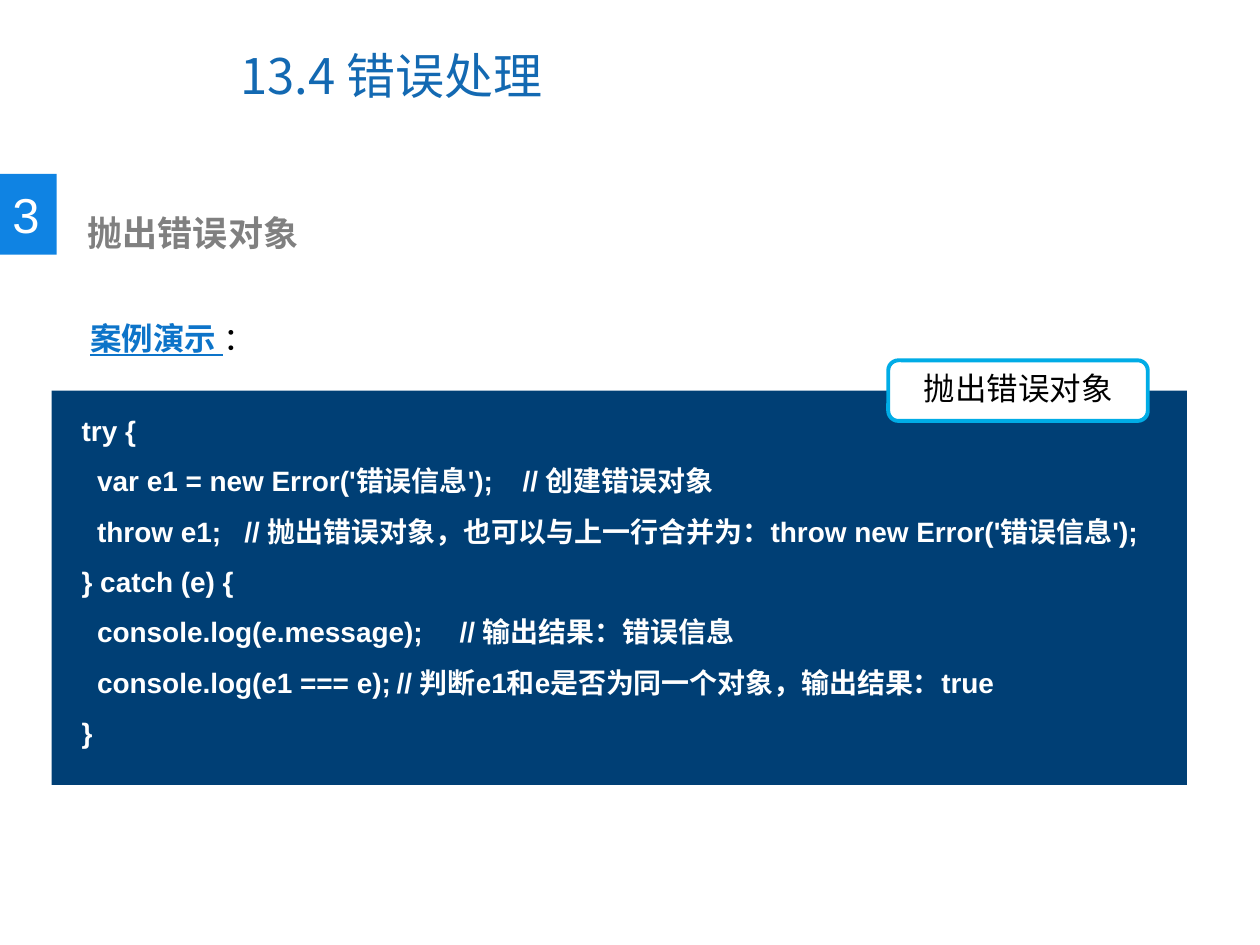
from dataclasses import dataclass

from lxml import etree
from pptx import Presentation
from pptx.dml.color import RGBColor
from pptx.enum.shapes import MSO_SHAPE
from pptx.enum.text import MSO_ANCHOR, MSO_AUTO_SIZE, PP_ALIGN
from pptx.oxml.ns import qn
from pptx.util import Pt

RECTANGLE = MSO_SHAPE.RECTANGLE
ROUNDED = MSO_SHAPE.ROUNDED_RECTANGLE
LEFT, CENTER = PP_ALIGN.LEFT, PP_ALIGN.CENTER
TOP, MIDDLE = MSO_ANCHOR.TOP, MSO_ANCHOR.MIDDLE
NO_AUTOFIT = MSO_AUTO_SIZE.NONE
LATIN = "Arial"
CHINESE = "Noto Sans CJK SC"
WHITE = "FFFFFF"
BLACK = "000000"

CODE = """try {
  var e1 = new Error('错误信息');\t// 创建错误对象
  throw e1;   // 抛出错误对象，也可以与上一行合并为：throw new Error('错误信息');
} catch (e) {
  console.log(e.message);\t// 输出结果：错误信息
  console.log(e1 === e);\t// 判断e1和e是否为同一个对象，输出结果：true
}"""


@dataclass
class Box:
    left: float
    top: float
    width: float
    height: float

    def lengths(self):
        return Pt(self.left), Pt(self.top), Pt(self.width), Pt(self.height)


def color(value: str) -> RGBColor:
    return RGBColor.from_string(value)


def add_run(paragraph, text: str, *, size, fill, bold=False, underline=False, font=LATIN):
    run = paragraph.add_run()
    run.text = text
    run.font.size = Pt(size)
    run.font.bold = bold
    run.font.underline = underline
    run.font.color.rgb = color(fill)
    run.font.name = font
    east_asian = etree.SubElement(run.font._element, qn("a:ea"))
    east_asian.set("typeface", CHINESE)


def write(shape, text: str, *, align=LEFT, anchor=TOP, spacing=1.0, wrap=True, **style):
    frame = shape.text_frame
    frame.word_wrap = wrap
    frame.auto_size = NO_AUTOFIT
    frame.vertical_anchor = anchor
    for index, line in enumerate(text.split("\n")):
        paragraph = frame.add_paragraph() if index else frame.paragraphs[0]
        paragraph.alignment = align
        paragraph.line_spacing = spacing
        add_run(paragraph, line, **style)
    return frame


def add_panel(slide, kind, box: Box, fill: str):
    shape = slide.shapes.add_shape(kind, *box.lengths())
    shape.shadow.inherit = False
    shape.fill.solid()
    shape.fill.fore_color.rgb = color(fill)
    shape.line.fill.background()
    return shape


def add_text(slide, box: Box, text: str, **style):
    return write(slide.shapes.add_textbox(*box.lengths()), text, **style)


def main():
    presentation = Presentation()
    presentation.slide_width, presentation.slide_height = Pt(720), Pt(540)
    slide = presentation.slides.add_slide(presentation.slide_layouts[5])

    title = slide.shapes.title
    title.left, title.top, title.width, title.height = Box(130.3, 12.2, 371.5, 61.2).lengths()
    frame = write(title, "13.4 ", size=28, fill="1369B2", font=CHINESE, anchor=MIDDLE)
    add_run(frame.paragraphs[0], "错误处理", size=28, fill="1369B2")

    frame = add_text(slide, Box(44.6, 157, 622.8, 44), "案例演示 ", size=18,
                     fill="0D74C9", bold=True, underline=True, spacing=2.0)
    add_run(frame.paragraphs[0], "：", size=18, fill=BLACK)

    add_panel(slide, RECTANGLE, Box(0, 99.4, 32.4, 46.1), "0F83E3")
    add_text(slide, Box(0, 102.2, 30.2, 41), "3", size=28, fill=WHITE, wrap=False)
    heading = add_text(slide, Box(33.8, 117.4, 370, 31.7), "抛出错误对象",
                       size=20, fill="808080", bold=True)
    heading.margin_left = Pt(16.4)

    add_panel(slide, RECTANGLE, Box(29.5, 223.2, 648.7, 225.4), "003F75")
    add_text(slide, Box(39.6, 223.2, 638.6, 245.5), CODE,
             size=16, fill=WHITE, bold=True, spacing=1.5)

    label = add_panel(slide, ROUNDED, Box(507.6, 205.9, 148.3, 34.6), WHITE)
    label.line.color.rgb = color("00ACE6")
    label.line.width = Pt(2.25)
    write(label, "抛出错误对象", size=18, fill=BLACK, align=CENTER)

    presentation.save("out.pptx")


if __name__ == "__main__":
    main()
